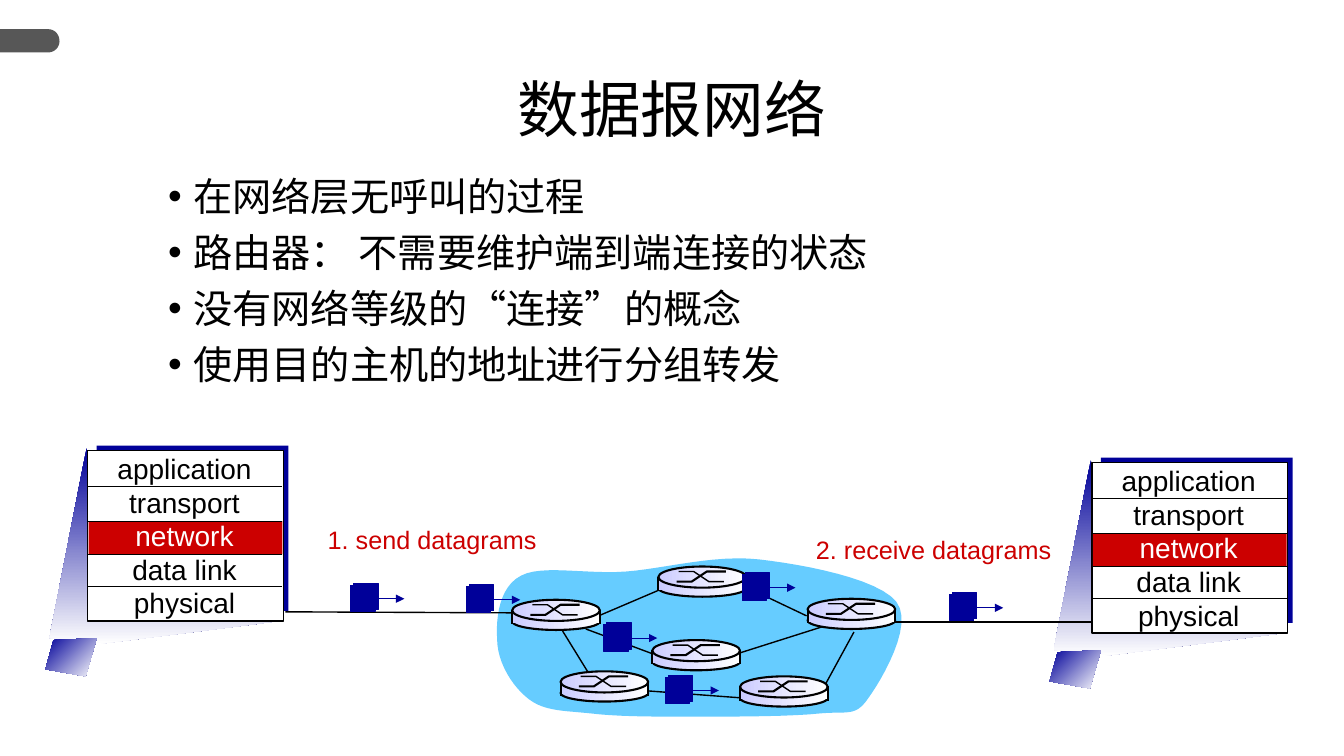
from lxml import etree
from pptx import Presentation
from pptx.dml.color import RGBColor
from pptx.enum.shapes import MSO_CONNECTOR, MSO_SHAPE
from pptx.enum.text import MSO_ANCHOR, PP_ALIGN
from pptx.oxml.ns import qn
from pptx.util import Inches, Pt

CELL = Inches(0.01)
COLUMNS, ROWS = 1333, 750
RECT, OVAL = MSO_SHAPE.RECTANGLE, MSO_SHAPE.OVAL
LINE, OUTLINE = "line", "outline"
CJK, LATIN = "Noto Sans CJK SC", "Arial"
BLACK = RGBColor(0x00, 0x00, 0x00)
WHITE = RGBColor(0xFF, 0xFF, 0xFF)
RED = RGBColor(0xCC, 0x00, 0x00)
NAVY = RGBColor(0x00, 0x00, 0x99)
SKY = RGBColor(0x66, 0xCC, 0xFF)
LILAC = RGBColor(0xCC, 0xCC, 0xFF)
GREY = RGBColor(0x57, 0x57, 0x57)

deck = Presentation()
deck.slide_width, deck.slide_height = COLUMNS * CELL, ROWS * CELL
slide = deck.slides.add_slide(deck.slide_layouts[6])
shapes = slide.shapes


def draw(kind, points, fill=None, line=None, weight=1, angle=None):
    cells = [(round(x * CELL), round(y * CELL)) for x, y in points]
    if kind == LINE:
        item = shapes.add_connector(MSO_CONNECTOR.STRAIGHT, *cells[0], *cells[1])
    elif kind == OUTLINE:
        builder = shapes.build_freeform(*cells[0])
        builder.add_line_segments(cells[1:], close=fill is not None)
        item = builder.convert_to_shape()
    else:
        item = shapes.add_shape(kind, *cells[0], *cells[1])
    if kind != LINE:
        item.shadow.inherit = False
        if fill is None:
            item.fill.background()
        elif angle is None:
            item.fill.solid()
            item.fill.fore_color.rgb = fill
        else:
            item.fill.gradient()
            item.fill.gradient_angle = (360 - angle) % 360
            for stop, color, position in zip(item.fill.gradient_stops, (fill, WHITE), (0, 1)):
                stop.color.rgb, stop.position = color, position
    if line is None:
        item.line.fill.background()
    else:
        item.line.color.rgb = line
        item.line.width = Pt(weight)
    if kind == LINE:
        etree.SubElement(item._element.spPr, qn("a:effectLst"))
    return item


def write(at, lines, size, font, color, pitch, align=PP_ALIGN.CENTER, before=0, top=5, bullet=None, wrap=True):
    frame = shapes.add_textbox(*(n * CELL for n in at)).text_frame
    frame.word_wrap = wrap
    frame.vertical_anchor = MSO_ANCHOR.TOP
    frame.margin_top = top * CELL
    for index, words in enumerate(lines):
        paragraph = frame.paragraphs[0] if index == 0 else frame.add_paragraph()
        if bullet:
            properties = paragraph._p.get_or_add_pPr()
            properties.set("marL", str(25 * CELL))
            properties.set("indent", str(-25 * CELL))
            etree.SubElement(properties, qn("a:buFont"), typeface=LATIN)
            etree.SubElement(properties, qn("a:buChar"), char=bullet)
        layout = {"alignment": align, "line_spacing": Pt(pitch), "space_before": Pt(before if index else 0)}
        for key, value in layout.items():
            setattr(paragraph, key, value)
        run = paragraph.add_run()
        run.text = words
        run.font.size, run.font.name = Pt(size), font
        run.font.color.rgb = color
        etree.SubElement(run._r.get_or_add_rPr(), qn("a:ea"), typeface=font)
    return frame


side_tab = [(0, 29), (0, 29, 48, 29, 48, 29), (54, 29, 59, 34, 59, 41),
            (59, 47, 54, 52, 48, 52), (48, 52, 0, 52, 0, 52)]
cloud = [(493, 633), (492, 613, 495, 582, 517, 571), (538, 560, 582, 570, 621, 567),
         (660, 564, 708, 550, 753, 555), (797, 560, 871, 574, 889, 597),
         (907, 620, 874, 675, 861, 693), (848, 712, 840, 705, 811, 708),
         (782, 711, 723, 711, 686, 711), (649, 711, 614, 711, 588, 708),
         (561, 705, 541, 706, 525, 694), (509, 682, 493, 658, 493, 633)]
STEPS = 12
for (start, *curves), color in ((side_tab, GREY), (cloud, SKY)):
    rim = [start]
    for x1, y1, x2, y2, x3, y3 in curves:
        x0, y0 = rim[-1]
        for step in range(1, STEPS + 1):
            t = step / STEPS
            a, b, c, d = (1 - t) ** 3, 3 * t * (1 - t) ** 2, 3 * t * t * (1 - t), t ** 3
            rim.append((a * x0 + b * x1 + c * x2 + d * x3, a * y0 + b * y1 + c * y2 + d * y3))
    draw(OUTLINE, rim, color)

write((0, 68, COLUMNS, 98), ["数据报网络"], 44, CJK, BLACK, 47, top=10)
write((157, 166, 889, 249),
      ["在网络层无呼叫的过程", "路由器： 不需要维护端到端连接的状态",
       "没有网络等级的“连接”的概念", "使用目的主机的地址进行分组转发"],
      28, CJK, BLACK, 30, align=PP_ALIGN.LEFT, before=10, top=10, bullet="•")

layers = ["application", "transport", "network", "data link", "physical"]
beam = [(-38, 186), (-1, -3), (10, 153), (185, 155), (191, 169), (10, 192)]
host = [(9, 186), (-34, 188), (-42, 217), (-2, 224)]
for left, top in ((87, 447), (1083, 459)):
    for outline, angle in ((beam, 90), (host, 45)):
        draw(OUTLINE, [(left + x, top + y) for x, y in outline], NAVY, angle=angle)
    draw(RECT, [(left + 9, top - 5), (190, 164)], NAVY)
    draw(RECT, [(left, top), (194, 169)], WHITE, BLACK)
    draw(RECT, [(left + 1, top + 70), (192, 33)], RED)
    stack = write((left - 18, top - 4, 228, 177), layers, 20, LATIN, BLACK, 24)
    stack.paragraphs[layers.index("network")].runs[0].font.color.rgb = WHITE
    for divider in (36, 70, 103, 135):
        draw(LINE, [(left, top + divider), (left + 193, top + divider)], line=BLACK, weight=0.75)

links = [(283, 607, 513, 608), (596, 610, 664, 581), (737, 581, 800, 611),
         (581, 624, 651, 650), (733, 648, 815, 622), (817, 682, 847, 627),
         (744, 693, 637, 685), (587, 673, 558, 626), (1083, 617, 884, 617)]
for x1, y1, x2, y2 in links:
    draw(LINE, [(x1, y1), (x2, y2)], line=BLACK)

WIDE = 87
routers = [(801, 594, (0, WIDE)), (647, 635, (0, WIDE)), (508, 595, (0, WIDE)),
           (653, 562, (0,)), (734, 671, (0, WIDE)), (556, 666, (0, WIDE))]
for x, y, sides in routers:
    for kind, drop, height, edge in ((OVAL, 13, 17, BLACK), (RECT, 12, 11, None), (OVAL, 0, 21, BLACK)):
        draw(kind, [(x, y + drop), (WIDE, height)], LILAC, edge, 1.5, angle=0)
    for track, weight in (([(18, 15), (33, 15), (48, 5), (67, 5)], 1.5),
                          ([(20, 5), (35, 5), (50, 15), (65, 15)], 1)):
        draw(OUTLINE, [(x + dx, y + dy) for dx, dy in track], line=BLACK, weight=weight)
    for side in sides:
        draw(LINE, [(x + side, y + 10), (x + side, y + 24)], line=BLACK, weight=1.5)

datagrams = [(348, 581), (463, 582), (736, 570), (660, 672), (599, 620), (942, 590)]
for x, y in datagrams:
    for shift_x, shift_y in ((3, -2), (0, 0)):
        front = draw(RECT, [(x + shift_x, y + shift_y), (24, 26)], NAVY, NAVY, 0.75)
    arrow = draw(LINE, [(x + 24, y + 13), (x + 53, y + 13)], line=NAVY, weight=0.75)
    arrow.begin_connect(front, 3)
    etree.SubElement(arrow.line._get_or_add_ln(), qn("a:tailEnd"), type="triangle")

for at, caption in (((314, 515, 229, 40), "1. send datagrams"),
                    ((798, 525, 256, 40), "2. receive datagrams")):
    write(at, [caption], 18, LATIN, RED, 21.6, wrap=False)

deck.save("out.pptx")
